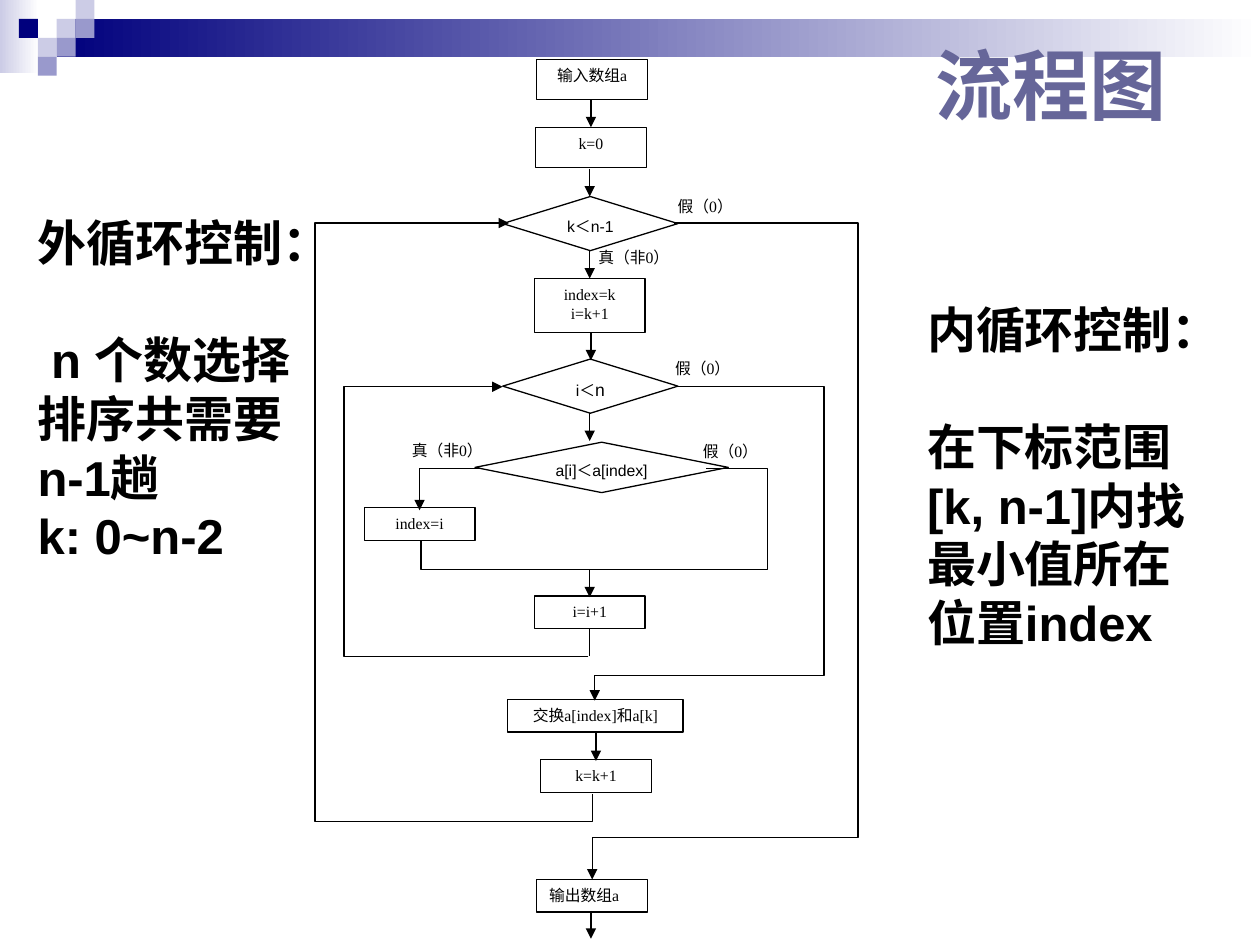
from lxml.etree import SubElement
from pptx import Presentation
from pptx.dml.color import RGBColor
from pptx.enum.shapes import MSO_CONNECTOR, MSO_SHAPE
from pptx.enum.text import MSO_ANCHOR, MSO_AUTO_SIZE, PP_ALIGN
from pptx.oxml.ns import qn
from pptx.util import Inches, Pt

BLACK = RGBColor(0x00, 0x00, 0x00)
WHITE = RGBColor(0xFF, 0xFF, 0xFF)
NAVY = RGBColor(0x00, 0x00, 0x7D)
LAVENDER = RGBColor(0xCC, 0xCC, 0xE6)
PERIWINKLE = RGBColor(0x99, 0x99, 0xCC)
SLATE = RGBColor(0x66, 0x66, 0x99)
SERIF = "Times New Roman"
SANS = "Arial"

STEPS = [
    (1.76, 0.02, 0.88, 0.32, ["输入数组a"], PP_ALIGN.CENTER),
    (1.75, 0.56, 0.88, 0.32, ["k=0"], PP_ALIGN.CENTER),
    (1.74, 1.76, 0.88, 0.43, ["index=k", "i=k+1"], PP_ALIGN.CENTER),
    (0.39, 3.58, 0.88, 0.26, ["index=i"], PP_ALIGN.CENTER),
    (1.74, 4.28, 0.88, 0.26, ["i=i+1"], PP_ALIGN.CENTER),
    (1.53, 5.10, 1.39, 0.26, ["交换a[index]和a[k]"], PP_ALIGN.CENTER),
    (1.79, 5.58, 0.88, 0.26, ["k=k+1"], PP_ALIGN.CENTER),
    (1.76, 6.53, 0.88, 0.26, ["输出数组a"], PP_ALIGN.JUSTIFY),
]
DECISIONS = [
    (1.49, 1.11, 1.39, 0.43, [("k＜n-1", 9)]),
    (1.49, 2.40, 1.39, 0.43, [("i＜", 9), ("n", 10)]),
    (1.27, 3.06, 2.01, 0.40, [("a[i]＜a[index]", 9)]),
]
BRANCH_LABELS = [
    (2.78, 1.06, 0.66, "假（0）"),
    (2.76, 2.35, 0.66, "假（0）"),
    (2.98, 3.01, 0.66, "假（0）"),
    (2.15, 1.47, 0.88, "真（非0）"),
    (0.67, 3.00, 0.88, "真（非0）"),
]
DOWN_ARROWS = [(2.19, 0.34), (2.18, 0.89), (2.18, 1.54), (2.19, 2.19),
               (2.18, 2.83), (2.18, 4.07), (2.23, 5.37), (2.19, 6.78)]
ROUTES = [
    ([(1.30, 3.27), (0.83, 3.27), (0.83, 3.60)], True),
    ([(0.84, 3.84), (0.84, 4.07), (3.59, 4.07), (3.59, 3.27), (3.10, 3.27)], False),
    ([(2.88, 2.62), (4.04, 2.62), (4.04, 4.91), (2.22, 4.91), (2.22, 5.11)], True),
    ([(2.20, 5.85), (2.20, 6.07), (0, 6.07), (0, 1.32), (1.54, 1.32)], True),
    ([(2.85, 1.32), (4.31, 1.32), (4.31, 6.20), (2.20, 6.20), (2.20, 6.53)], True),
    ([(2.17, 4.76), (0.23, 4.76), (0.23, 2.62), (1.49, 2.62)], True),
]


def write_text(shape, lines, *, size=9, font=SERIF, color=BLACK, bold=False,
               align=PP_ALIGN.LEFT, anchor=MSO_ANCHOR.TOP, wrap=True, heading_gap=0):
    """Fill a shape with lines, each a string or a list of (text, size) runs."""
    frame = shape.text_frame
    frame.word_wrap = wrap
    frame.vertical_anchor = anchor
    for number, line in enumerate(lines):
        paragraph = frame.add_paragraph() if number else frame.paragraphs[0]
        paragraph.alignment = align
        if number == 1:
            paragraph.space_before = Pt(heading_gap)
        for text, run_size in [(line, size)] if isinstance(line, str) else line:
            run = paragraph.add_run()
            run.text = text
            run.font.size = Pt(run_size)
            run.font.name = font
            run.font.bold = bold
            run.font.color.rgb = color
    return frame


def add_text_box(slide, left, top, width, height, lines, **text_format):
    """Add a text box and write its lines."""
    box = slide.shapes.add_textbox(Inches(left), Inches(top), Inches(width), Inches(height))
    return write_text(box, lines, **text_format)


def add_block(slide, left, top, width, height, colors):
    """Add a borderless rectangle in one color or a left-to-right gradient."""
    block = slide.shapes.add_shape(MSO_SHAPE.RECTANGLE, Inches(left), Inches(top),
                                   Inches(width), Inches(height))
    block.shadow.inherit = False
    block.line.fill.background()
    if len(colors) == 1:
        block.fill.solid()
        block.fill.fore_color.rgb = colors[0]
    else:
        block.fill.gradient()
        block.fill.gradient_angle = 0
        for stop, color in zip(block.fill.gradient_stops, colors):
            stop.color.rgb = color


def style_line(line, arrow=False):
    """Draw a thin black line, with an arrowhead at its end if wanted."""
    line.color.rgb = BLACK
    line.width = Pt(0.75)
    if arrow:
        SubElement(line._get_or_add_ln(), qn("a:tailEnd"), type="triangle")


def add_node(slide, kind, left, top, width, height, lines, **text_format):
    """Add an outlined flowchart node with its text."""
    node = slide.shapes.add_shape(kind, Inches(left), Inches(top), Inches(width), Inches(height))
    node.shadow.inherit = False
    node.fill.background()
    style_line(node.line)
    return write_text(node, lines, **text_format)


def add_vertical(slide, left, top, length, arrow):
    """Add a straight line going down."""
    connector = slide.shapes.add_connector(MSO_CONNECTOR.STRAIGHT, Inches(left), Inches(top),
                                           Inches(left), Inches(top + length))
    style_line(connector.line, arrow)
    SubElement(connector._element.spPr, qn("a:effectLst"))


def add_route(slide, points, arrow):
    """Add an open line through the given points."""
    corners = [(Inches(x), Inches(y)) for x, y in points]
    builder = slide.shapes.build_freeform(*corners[0])
    builder.add_line_segments(corners[1:], close=False)
    route = builder.convert_to_shape()
    route.shadow.inherit = False
    route.fill.background()
    style_line(route.line, arrow)


def draw_header(slide, left, top, width):
    """Draw the gradient band and its mosaic of squares."""
    cell = 0.15
    add_block(slide, left, top, 0.31, 0.58, [LAVENDER, WHITE])
    add_block(slide, left + 3 * cell, top + cell, width - 3 * cell, 2 * cell, [NAVY, WHITE])
    squares = [(3, 1, LAVENDER), (4, 0, LAVENDER), (4, 1, PERIWINKLE), (2, 2, LAVENDER),
               (1, 1, NAVY), (3, 2, PERIWINKLE), (2, 3, PERIWINKLE)]
    for column, row, color in squares:
        add_block(slide, left + column * cell, top + row * cell, cell, cell, [color])


def draw_flowchart(slide, left, top):
    """Draw the selection sort flowchart from its top left corner."""
    for x, y, width, height, lines, align in STEPS:
        add_node(slide, MSO_SHAPE.RECTANGLE, left + x, top + y, width, height, lines, align=align)
    for x, y, width, height, runs in DECISIONS:
        frame = add_node(slide, MSO_SHAPE.DIAMOND, left + x, top + y, width, height, [runs],
                         font=SANS, align=PP_ALIGN.CENTER)
        frame.margin_left = frame.margin_right = 0
    for x, y, width, label in BRANCH_LABELS:
        add_text_box(slide, left + x, top + y, width, 0.32, [label], align=PP_ALIGN.JUSTIFY)
    for x, y in DOWN_ARROWS:
        add_vertical(slide, left + x, top + y, 0.22, True)
    add_vertical(slide, left + 2.18, top + 4.54, 0.22, False)
    for points, arrow in ROUTES:
        add_route(slide, [(left + x, top + y) for x, y in points], arrow)


def draw_note(slide, left, top, width, height, lines):
    """Write a bold note whose heading stands one line apart."""
    frame = add_text_box(slide, left, top, width, height, lines, size=28, font=SANS,
                         bold=True, wrap=False, heading_gap=33)
    frame.auto_size = MSO_AUTO_SIZE.SHAPE_TO_FIT_TEXT


def main():
    """Build and save the slide."""
    presentation = Presentation()
    presentation.slide_width = Inches(10)
    presentation.slide_height = Inches(7.5)
    slide = presentation.slides.add_slide(presentation.slide_layouts[6])
    draw_header(slide, 0, 0, 10)
    add_text_box(slide, 7.33, 0.33, 2.42, 0.67, ["流程图"], size=44, color=SLATE,
                 bold=True, anchor=MSO_ANCHOR.MIDDLE)
    draw_flowchart(slide, 2.5, 0.45)
    draw_note(slide, 0.2, 1.64, 2.57, 2.93,
              ["外循环控制：", " n 个数选择", "排序共需要", "n-1趟", "k: 0~n-2"])
    draw_note(slide, 7.26, 2.33, 2.53, 2.9,
              ["内循环控制：", "在下标范围", "[k, n-1]内找", "最小值所在", "位置index"])
    presentation.save("out.pptx")


if __name__ == "__main__":
    main()
